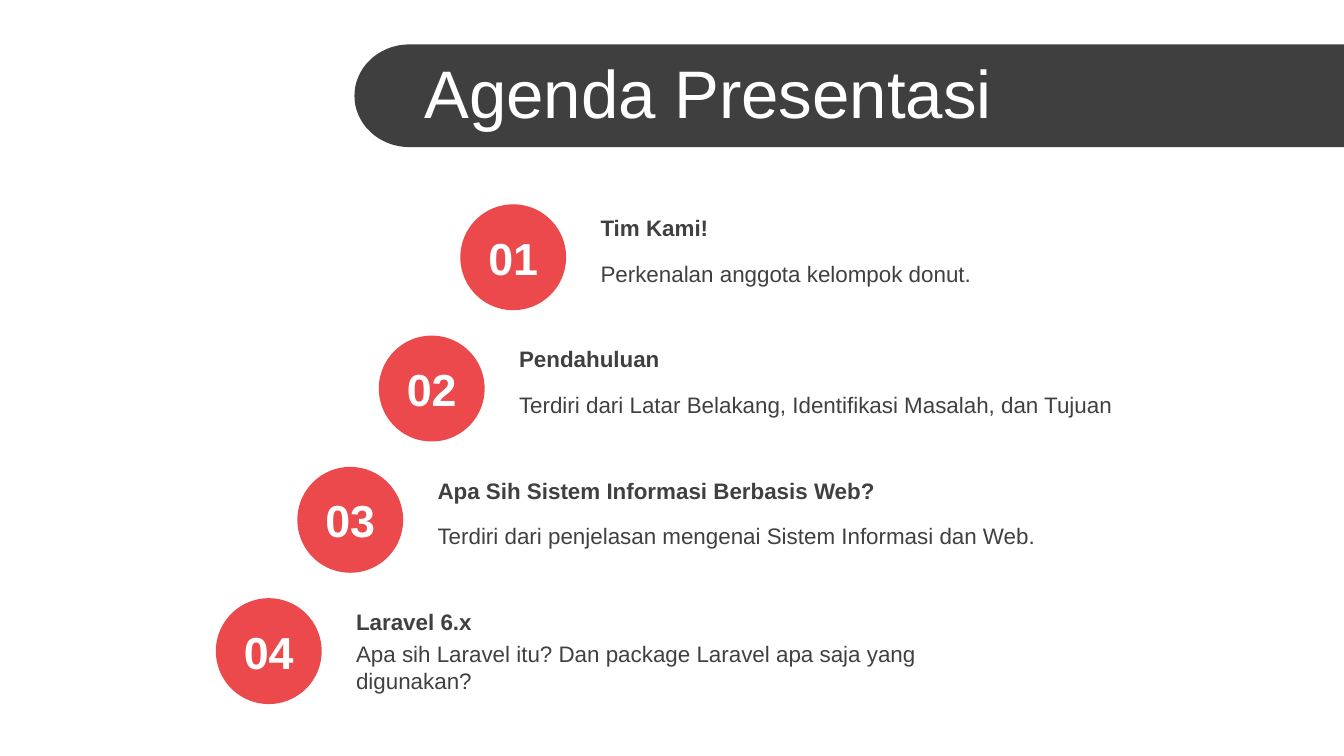
from dataclasses import dataclass
from math import cos, pi, sin

from pptx import Presentation
from pptx.dml.color import RGBColor
from pptx.enum.shapes import MSO_SHAPE
from pptx.enum.text import MSO_ANCHOR, PP_ALIGN
from pptx.util import Cm, Pt

MIDDLE = MSO_ANCHOR.MIDDLE
LEFT, CENTER = PP_ALIGN.LEFT, PP_ALIGN.CENTER
ELLIPSE = MSO_SHAPE.OVAL


@dataclass(frozen=True)
class Theme:
    font: str = "Arial"
    banner: RGBColor = RGBColor(0x3F, 0x3F, 0x3F)
    accent: RGBColor = RGBColor(0xEB, 0x49, 0x4B)
    text: RGBColor = RGBColor(0x40, 0x40, 0x40)
    light: RGBColor = RGBColor(0xFF, 0xFF, 0xFF)
    title_size: Pt = Pt(36)
    number_size: Pt = Pt(24)
    body_size: Pt = Pt(12)


theme = Theme()


def paint(shape, color):
    shape.fill.solid()
    shape.fill.fore_color.rgb = color
    shape.line.fill.background()
    shape.shadow.inherit = False


def add_text(text, left, middle, width, height, size, color, bold=False, align=LEFT):
    """Add a text box centred vertically on middle; lengths are in cm."""
    box = page.shapes.add_textbox(
        Cm(left), Cm(middle - height / 2), Cm(width), Cm(height))
    frame = box.text_frame
    frame.word_wrap = True
    frame.vertical_anchor = MIDDLE
    para = frame.paragraphs[0]
    para.text = text
    para.alignment = align
    para.font.name = theme.font
    para.font.size = size
    para.font.bold = bold
    para.font.color.rgb = color


deck = Presentation()
deck.slide_width, deck.slide_height = Cm(25.4), Cm(14.28)
page = deck.slides.add_slide(deck.slide_layouts[6])

# Title banner: rounded on the left, running off to the right edge
banner_left, banner_right = 6.7, 25.4
banner_middle, radius_x, radius_y = 1.81, 1.04, 0.97
arc_steps = 48
arc = []
for step in range(arc_steps + 1):
    angle = pi / 2 + pi * step / arc_steps
    arc.append((Cm(banner_left + radius_x + radius_x * cos(angle)),
                Cm(banner_middle + radius_y * sin(angle))))
corners = [(Cm(banner_right), Cm(banner_middle - radius_y)),
           (Cm(banner_right), Cm(banner_middle + radius_y))]
outline = page.shapes.build_freeform(*arc[0])
outline.add_line_segments(arc[1:] + corners, close=True)
paint(outline.convert_to_shape(), theme.banner)
add_text("Agenda Presentasi", 7.77, 1.74, 17.63, 1.6,
         theme.title_size, theme.light)

# Agenda: each row steps down and to the left; the last value is the line count
agenda = [
    ("Tim Kami!", "Perkenalan anggota kelompok donut.", 1),
    ("Pendahuluan",
     "Terdiri dari Latar Belakang, Identifikasi Masalah, dan Tujuan", 1),
    ("Apa Sih Sistem Informasi Berbasis Web?",
     "Terdiri dari penjelasan mengenai Sistem Informasi dan Web.", 1),
    ("Laravel 6.x",
     "Apa sih Laravel itu? Dan package Laravel apa saja yang digunakan?", 2),
]
first_left, first_top = 8.7, 3.86
step_left, step_down = 1.54, 2.48
diameter, text_gap, text_width = 2, 2.4, 12.8
line_height, padding = 0.51, 0.25

for row, (heading, detail, lines) in enumerate(agenda):
    left = first_left - row * step_left
    top = first_top + row * step_down
    text_left = left + text_gap

    circle = page.shapes.add_shape(
        ELLIPSE, Cm(left), Cm(top), Cm(diameter), Cm(diameter))
    paint(circle, theme.accent)
    add_text(f"{row + 1:02}", left, top + diameter / 2, diameter, 1.28,
             theme.number_size, theme.light, bold=True, align=CENTER)
    add_text(heading, text_left, top + 0.44, text_width, line_height + padding,
             theme.body_size, theme.text, bold=True)
    add_text(detail, text_left, top + 1.3, text_width, lines * line_height + padding,
             theme.body_size, theme.text)

deck.save("out.pptx")
